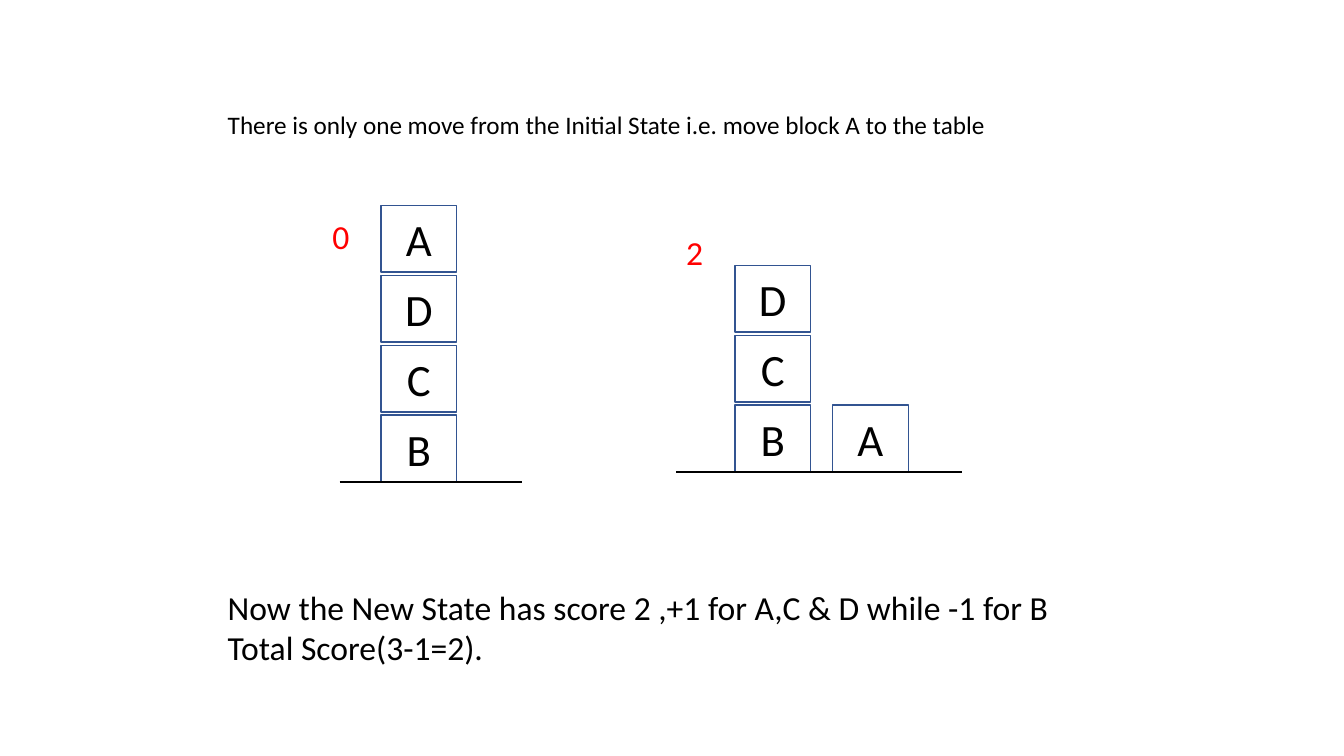
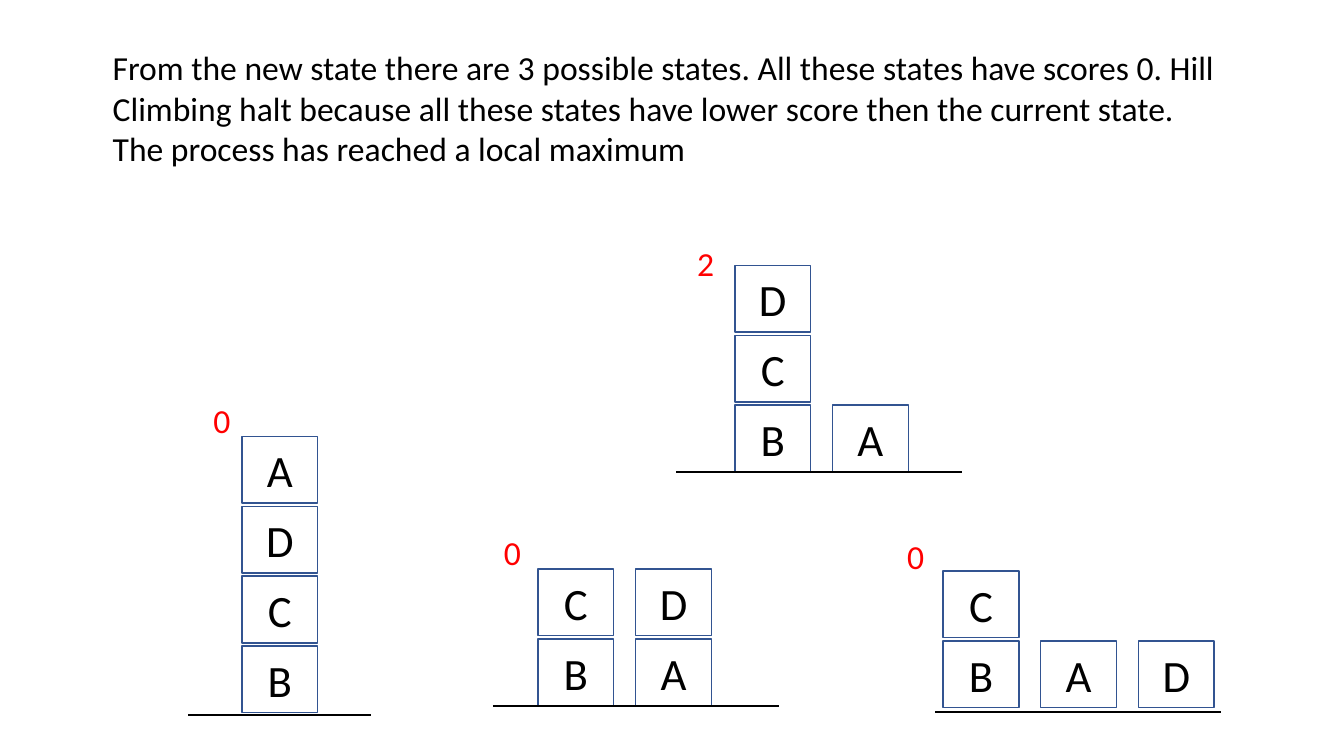
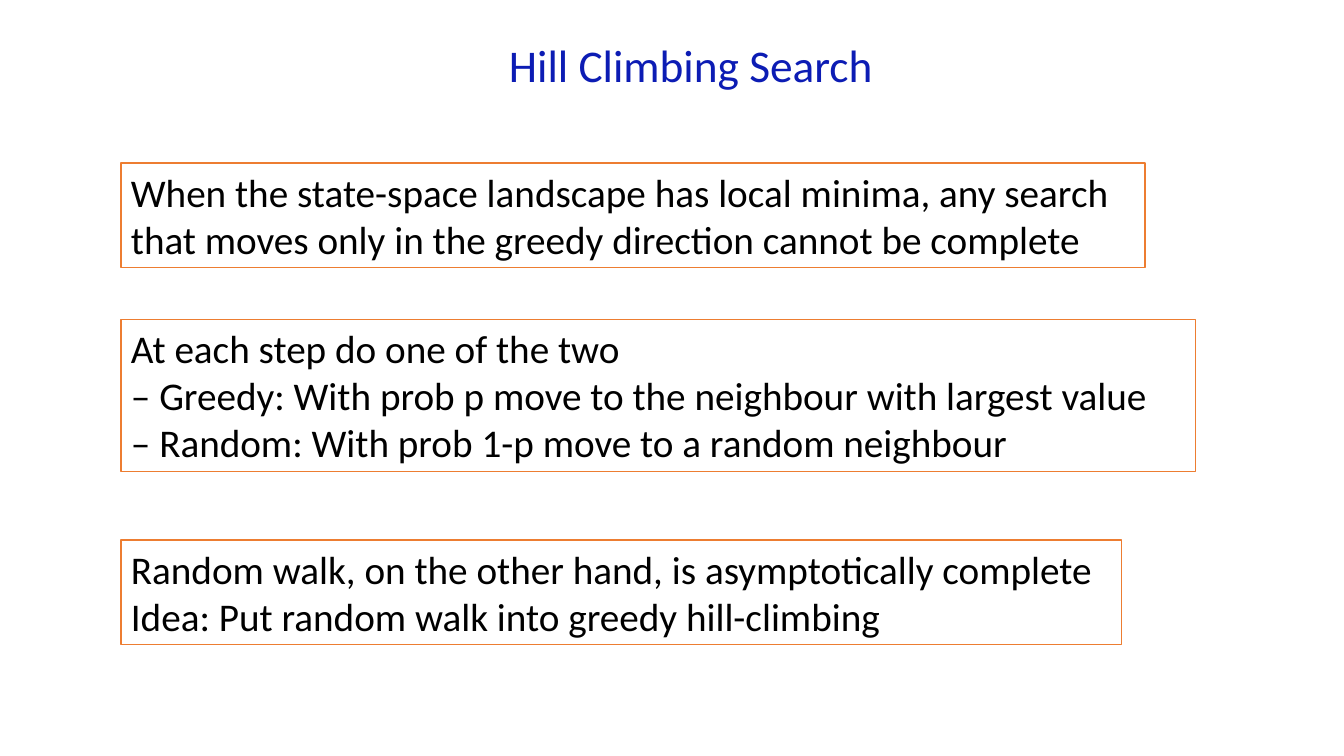
from dataclasses import dataclass

from lxml import etree
from pptx import Presentation
from pptx.dml.color import RGBColor
from pptx.enum.shapes import MSO_CONNECTOR, MSO_SHAPE
from pptx.enum.text import MSO_ANCHOR, MSO_AUTO_SIZE, PP_ALIGN
from pptx.oxml.ns import qn
from pptx.util import Cm, Pt

RECTANGLE = MSO_SHAPE.RECTANGLE
STRAIGHT = MSO_CONNECTOR.STRAIGHT
TOP, MIDDLE = MSO_ANCHOR.TOP, MSO_ANCHOR.MIDDLE
LEFT, CENTER = PP_ALIGN.LEFT, PP_ALIGN.CENTER
FIT_SHAPE, NO_FIT = MSO_AUTO_SIZE.SHAPE_TO_FIT_TEXT, MSO_AUTO_SIZE.NONE

COLORS = {
    "paper": "FFFFFF",
    "text": "000000",
    "score": "FF0000",
    "block": "325491",
    "frame": "ED7D31",
    "title": "0C1CB4",
}
FONT = "Calibri"
TITLE_ONLY, BLANK = 5, 6

# Lengths in centimetres
BLOCK_WIDTH, BLOCK_HEIGHT = 1.91, 1.68
LEVEL_STEP, STACK_STEP = 1.76, 2.46
NARROW_TABLE, WIDE_TABLE = 4.6, 7.2


@dataclass
class State:
    """Stacks of blocks, each spelled from the table upwards, on a table line."""
    stacks: list
    stack_left: float
    table_left: float
    table_top: float
    table_width: float
    score: str
    score_at: tuple
    lift: float = 0


def color(name):
    return RGBColor.from_string(COLORS[name])


def write(frame, text, size, color_name="text", align=LEFT, anchor=TOP):
    frame.text = text
    frame.word_wrap = True
    frame.vertical_anchor = anchor
    for paragraph in frame.paragraphs:
        paragraph.alignment = align
        for run in paragraph.runs:
            run.font.name = FONT
            run.font.size = Pt(size)
            run.font.color.rgb = color(color_name)


def add_text(slide, text, left, top, width, height, size=24, color_name="text"):
    box = slide.shapes.add_textbox(Cm(left), Cm(top), Cm(width), Cm(height))
    write(box.text_frame, text, size, color_name)
    box.text_frame.auto_size = FIT_SHAPE


def add_box(slide, left, top, width, height, line_color):
    box = slide.shapes.add_shape(RECTANGLE, Cm(left), Cm(top), Cm(width), Cm(height))
    box.shadow.inherit = False
    box.fill.solid()
    box.fill.fore_color.rgb = color("paper")
    box.line.color.rgb = color(line_color)
    box.line.width = Pt(1)
    return box


def add_block(slide, letter, left, top):
    block = add_box(slide, left, top, BLOCK_WIDTH, BLOCK_HEIGHT, "block")
    write(block.text_frame, letter, 32, align=CENTER, anchor=MIDDLE)


def add_statement(slide, text, top, width, height):
    statement = add_box(slide, 3.05, top, width, height, "frame")
    write(statement.text_frame, text, 28)
    statement.text_frame.auto_size = FIT_SHAPE


def add_table_line(slide, left, top, width):
    line = slide.shapes.add_connector(
        STRAIGHT, Cm(left), Cm(top), Cm(left + width), Cm(top))
    line.line.color.rgb = color("text")
    line.line.width = Pt(1.5)
    etree.SubElement(line._element.spPr, qn("a:effectLst"))


def add_state(slide, state):
    base = state.table_top - state.lift - BLOCK_HEIGHT
    for column, stack in enumerate(state.stacks):
        for level, letter in enumerate(stack):
            add_block(slide, letter, state.stack_left + column * STACK_STEP,
                      base - level * LEVEL_STEP)
    add_table_line(slide, state.table_left, state.table_top, state.table_width)
    add_text(slide, state.score, *state.score_at, 1.22, 1.27, color_name="score")


def add_new_state(slide, score_at):
    add_state(slide, State(["BCD", "A"], 18.52, 17.04, 11.89, WIDE_TABLE,
                           "2", score_at))


def add_title(slide, text):
    title = slide.shapes.title
    title.left, title.top = Cm(12.57), Cm(1.02)
    title.width, title.height = Cm(9.88), Cm(1.37)
    write(title.text_frame, text, 32.4, "title", anchor=MIDDLE)
    title.text_frame.auto_size = NO_FIT
    title.text_frame.paragraphs[0].line_spacing = 0.9


def build_first_move(slide):
    add_text(slide, "There is only one move from the Initial State i.e. "
             "move block A to the table", 5.49, 2.62, 20.62, 1.02, size=18)
    add_text(slide, "Now the New State has score 2 ,+1 for A,C & D while -1 for B\n"
             "Total Score(3-1=2).", 5.49, 14.66, 22.1, 2.31)
    add_state(slide, State(["BCDA"], 9.6, 8.56, 12.14, NARROW_TABLE,
                           "0", (8.13, 5.31)))
    add_new_state(slide, (17.04, 5.72))


def build_local_maximum(slide):
    add_text(slide, "From the new state there are 3 possible states. "
             "All these states have scores 0. Hill Climbing halt because all "
             "these states have lower score then the current state. "
             "The process has reached a local maximum", 2.59, 1.07, 28.4, 3.33)
    add_new_state(slide, (17.32, 5.99))
    next_states = [
        State(["BCDA"], 6.1, 4.75, 18.01, NARROW_TABLE, "0", (5.13, 9.96), 0.05),
        State(["BC", "AD"], 13.56, 12.42, 17.78, WIDE_TABLE, "0", (12.45, 13.28)),
        State(["BC", "A", "D"], 23.77, 23.57, 17.93, WIDE_TABLE,
              "0", (22.61, 13.39), 0.1),
    ]
    for state in next_states:
        add_state(slide, state)


def build_random_walk(slide):
    add_title(slide, "Hill Climbing Search")
    add_statement(slide, "When the state-space landscape has local minima, "
                  "any search that moves only in the greedy direction "
                  "cannot be complete", 4.11, 25.81, 2.64)
    add_statement(slide, "At each step do one of the two\n"
                  "– Greedy: With prob p move to the neighbour with largest value\n"
                  "– Random: With prob 1-p move to a random neighbour",
                  8.05, 27.08, 3.84)
    add_statement(slide, "Random walk, on the other hand, is asymptotically "
                  "complete Idea: Put random walk into greedy hill-climbing",
                  13.61, 25.22, 2.64)


def main():
    deck = Presentation()
    deck.slide_width, deck.slide_height = Cm(33.87), Cm(19.05)
    pages = [(BLANK, build_first_move), (BLANK, build_local_maximum),
             (TITLE_ONLY, build_random_walk)]
    for layout, build in pages:
        build(deck.slides.add_slide(deck.slide_layouts[layout]))
    deck.save("out.pptx")


if __name__ == "__main__":
    main()
